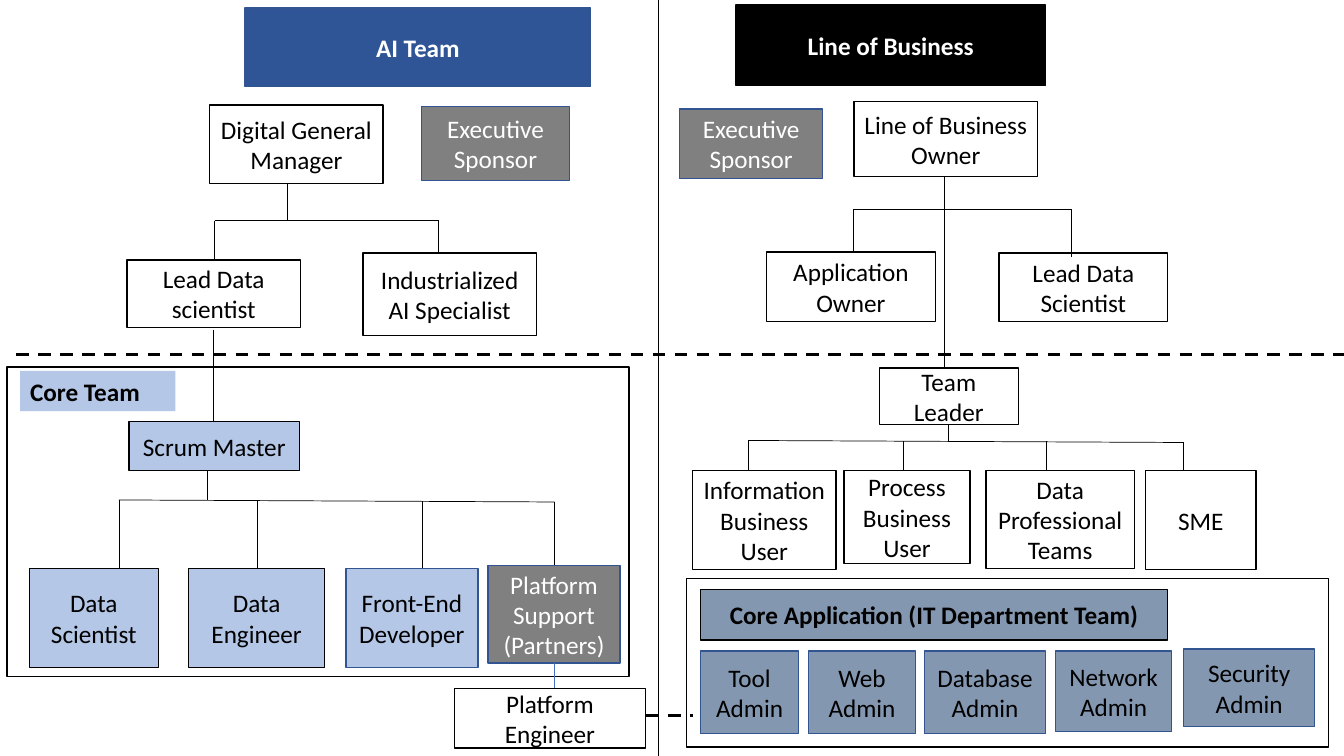
from dataclasses import dataclass
from itertools import pairwise

import pptx
import pptx.dml.color
import pptx.enum.dml
import pptx.enum.shapes
import pptx.enum.text
import pptx.oxml.ns
import pptx.util
from lxml import etree

EMU_PER_PX = 9144  # 100 px to the inch


@dataclass(frozen=True)
class Theme:
    font: str = "Calibri"
    text_size: int = 18
    black: str = "000000"
    white: str = "FFFFFF"
    header_blue: str = "2F5597"
    edge_blue: str = "325491"
    link_blue: str = "4472C4"
    core_blue: str = "B4C7E7"
    admin_blue: str = "8497B0"
    sponsor_grey: str = "808080"
    edge_width: float = 1
    link_width: float = 0.5
    dash_width: float = 2.25


THEME = Theme()


@dataclass(frozen=True)
class Style:
    fill: str | None
    edge: str | None = THEME.black
    text: str = THEME.black
    bold: bool = False
    centred: bool = True


@dataclass(frozen=True)
class Box:
    label: str
    left: int
    top: int
    width: int
    height: int
    style: Style


@dataclass(frozen=True)
class Route:
    points: tuple[tuple[int, int], ...]
    color: str = THEME.black
    dashed: bool = False


@dataclass(frozen=True)
class Tree:
    """A stem down to a bar, and one drop from the bar to each child."""
    stem: tuple[int, int]
    bar: tuple[int, int]  # height at the left and right end
    drops: tuple[tuple[int, int], ...]


FRAME = Style(None)
PLAIN = Style(THEME.white)
CORE = Style(THEME.core_blue)
CORE_EDGED = Style(THEME.core_blue, THEME.edge_blue)
CORE_LABEL = Style(THEME.core_blue, None, bold=True, centred=False)
SPONSOR = Style(THEME.sponsor_grey, THEME.edge_blue, THEME.white)
ADMIN = Style(THEME.admin_blue, THEME.edge_blue)
ADMIN_LABEL = Style(THEME.admin_blue, bold=True)
AI_HEADER = Style(THEME.header_blue, THEME.edge_blue, THEME.white, True)
BUSINESS_HEADER = Style(THEME.black, THEME.black, THEME.white, True)

BOXES = (
    # Group frames
    Box("", 7, 364, 617, 307, FRAME),
    Box("", 681, 574, 637, 167, FRAME),
    # AI team
    Box("AI Team", 243, 8, 343, 78, AI_HEADER),
    Box("Digital General Manager", 208, 104, 172, 78, PLAIN),
    Box("Executive Sponsor", 418, 106, 147, 73, SPONSOR),
    Box("Lead Data scientist", 126, 258, 172, 67, PLAIN),
    Box("Industrialized AI Specialist", 360, 251, 172, 82, PLAIN),
    # Core team
    Box("Core Team", 20, 368, 154, 40, CORE_LABEL),
    Box("Scrum Master", 128, 418, 169, 49, CORE),
    Box("Data Scientist", 29, 564, 128, 98, CORE),
    Box("Data Engineer", 187, 564, 135, 98, CORE),
    Box("Front-End Developer", 343, 564, 131, 98, CORE_EDGED),
    Box("Platform\nSupport\n(Partners)", 484, 561, 131, 97, SPONSOR),
    Box("Platform Engineer", 451, 683, 189, 59, PLAIN),
    # Line of business
    Box("Line of Business", 730, 5, 307, 80, BUSINESS_HEADER),
    Box("Executive Sponsor", 674, 108, 142, 69, SPONSOR),
    Box("Line of Business\nOwner", 847, 101, 182, 74, PLAIN),
    Box("Application Owner", 760, 250, 168, 69, PLAIN),
    Box("Lead Data Scientist", 991, 251, 167, 68, PLAIN),
    Box("Team Leader", 872, 365, 138, 56, PLAIN),
    Box("Information Business User", 687, 467, 142, 98, PLAIN),
    Box("Process Business User", 837, 467, 125, 92, PLAIN),
    Box("Data Professional Teams", 978, 467, 147, 97, PLAIN),
    Box("SME", 1136, 467, 110, 98, PLAIN),
    # Core application
    Box("Core Application (IT Department Team)", 695, 585, 463, 50, ADMIN_LABEL),
    Box("Tool Admin", 695, 646, 97, 82, ADMIN),
    Box("Web Admin", 802, 646, 106, 82, ADMIN),
    Box("Database Admin", 917, 646, 120, 82, ADMIN),
    Box("Network Admin", 1047, 646, 115, 80, ADMIN),
    Box("Security\nAdmin", 1174, 644, 130, 77, ADMIN),
)

TREES = (
    Tree((285, 182), (219, 219), ((213, 258), (435, 251))),
    Tree((937, 175), (208, 208), ((846, 250), (1063, 255))),
    Tree((206, 467), (496, 498),
         ((118, 564), (255, 564), (419, 564), (550, 561))),
    Tree((941, 421), (437, 439),
         ((742, 467), (896, 467), (1038, 467), (1174, 467))),
)

ROUTES = (
    # Dividers
    Route(((653, 0), (653, 750))),
    Route(((16, 352), (1333, 352)), dashed=True),
    # Links between levels
    Route(((212, 327), (212, 418))),
    Route(((937, 208), (937, 365))),
    Route(((550, 658), (550, 683)), THEME.link_blue),
    Route(((641, 710), (687, 710)), dashed=True),
)


def px(length: int) -> pptx.util.Emu:
    return pptx.util.Emu(length * EMU_PER_PX)


def rgb(value: str) -> pptx.dml.color.RGBColor:
    return pptx.dml.color.RGBColor.from_string(value)


def draw_box(slide: pptx.slide.Slide, box: Box) -> None:
    style = box.style
    shape = slide.shapes.add_shape(
        pptx.enum.shapes.MSO_SHAPE.RECTANGLE,
        px(box.left), px(box.top), px(box.width), px(box.height))
    shape.shadow.inherit = False
    if style.fill:
        shape.fill.solid()
        shape.fill.fore_color.rgb = rgb(style.fill)
    else:
        shape.fill.background()
    if style.edge:
        shape.line.color.rgb = rgb(style.edge)
        shape.line.width = pptx.util.Pt(THEME.edge_width)
    else:
        shape.line.fill.background()
    if not box.label:
        return
    frame = shape.text_frame
    frame.text = box.label
    frame.word_wrap = True
    frame.vertical_anchor = pptx.enum.text.MSO_ANCHOR.MIDDLE
    align = pptx.enum.text.PP_ALIGN
    for paragraph in frame.paragraphs:
        paragraph.alignment = align.CENTER if style.centred else align.LEFT
        for run in paragraph.runs:
            run.font.name = THEME.font
            run.font.size = pptx.util.Pt(THEME.text_size)
            run.font.bold = style.bold
            run.font.color.rgb = rgb(style.text)


def draw_route(slide: pptx.slide.Slide, route: Route) -> None:
    for start, end in pairwise(route.points):
        line = slide.shapes.add_connector(
            pptx.enum.shapes.MSO_CONNECTOR.STRAIGHT,
            *(px(value) for value in start + end))
        line.line.color.rgb = rgb(route.color)
        width = THEME.dash_width if route.dashed else THEME.link_width
        line.line.width = pptx.util.Pt(width)
        if route.dashed:
            line.line.dash_style = pptx.enum.dml.MSO_LINE.DASH
        properties = line._element.spPr
        etree.SubElement(properties, pptx.oxml.ns.qn("a:effectLst"))


def draw_tree(slide: pptx.slide.Slide, tree: Tree) -> None:
    left, right = tree.drops[0][0], tree.drops[-1][0]
    start, end = tree.bar

    def on_bar(x: int) -> tuple[int, int]:
        return x, round(start + (end - start) * (x - left) / (right - left))

    draw_route(slide, Route((tree.stem, on_bar(tree.stem[0]))))
    draw_route(slide, Route((on_bar(left), on_bar(right))))
    for child in tree.drops:
        draw_route(slide, Route((on_bar(child[0]), child)))


def main() -> None:
    presentation = pptx.Presentation()
    presentation.slide_width, presentation.slide_height = px(1333), px(750)
    slide = presentation.slides.add_slide(presentation.slide_layouts[6])
    for box in BOXES:
        draw_box(slide, box)
    for tree in TREES:
        draw_tree(slide, tree)
    for route in ROUTES:
        draw_route(slide, route)
    presentation.save("out.pptx")


if __name__ == "__main__":
    main()
